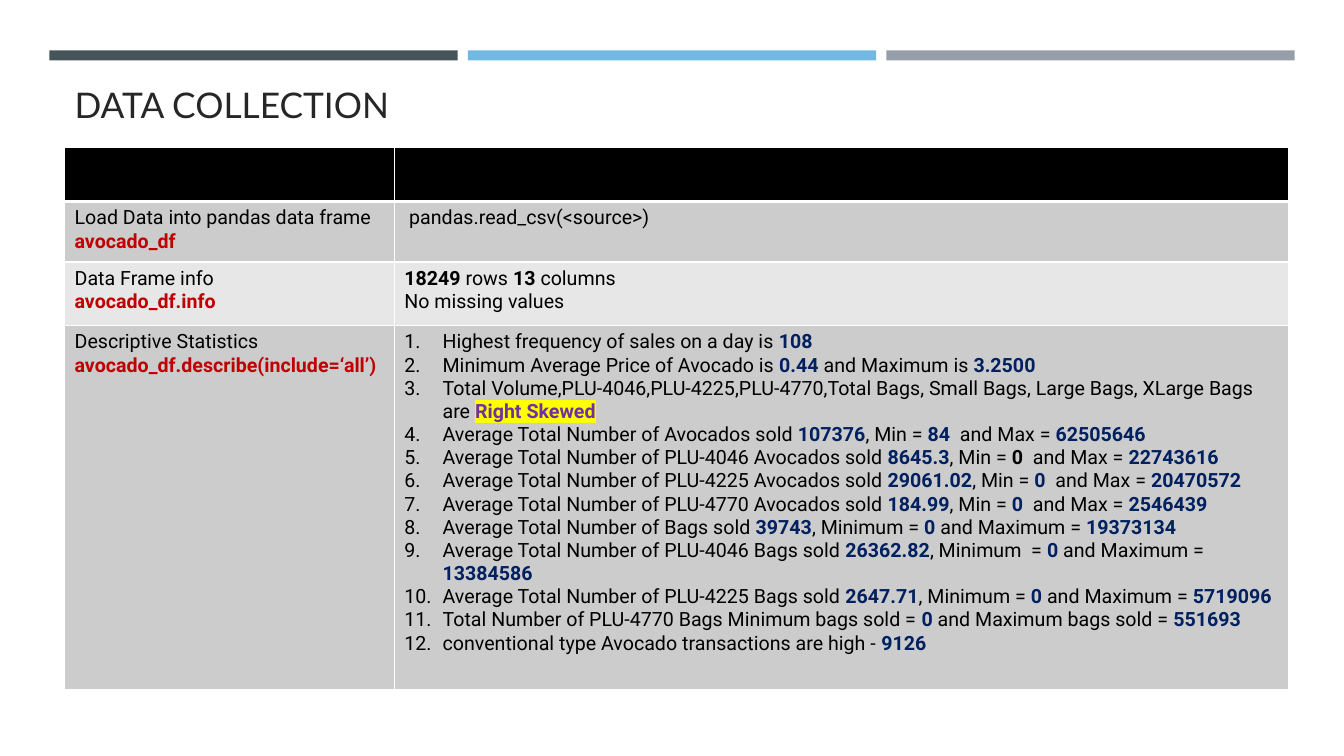
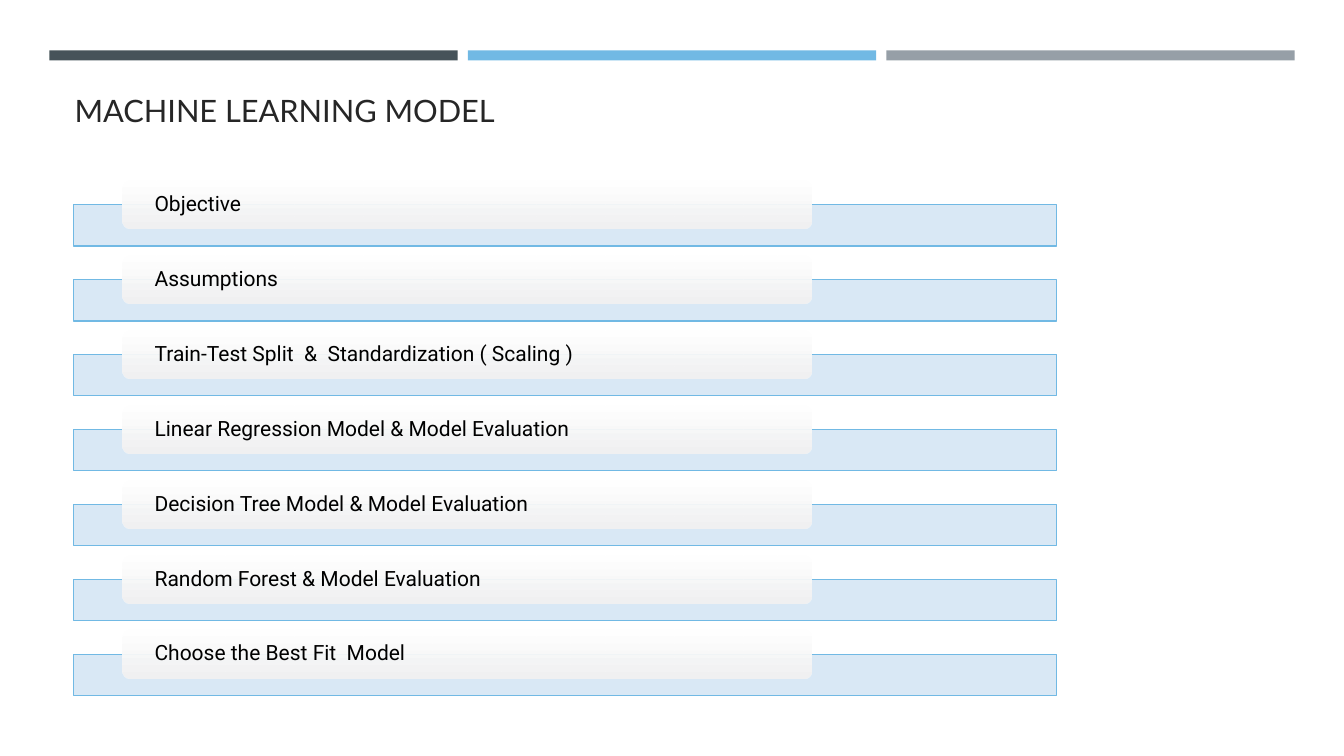
from pptx import Presentation
from pptx.dml.color import RGBColor
from pptx.enum import shapes, text
from pptx.oxml import parse_xml
from pptx.oxml.ns import nsdecls, qn
from pptx.util import Inches, Pt

BLACK = RGBColor(0x00, 0x00, 0x00)
WHITE = RGBColor(0xFF, 0xFF, 0xFF)
INK = RGBColor(0x26, 0x26, 0x26)
SLATE = RGBColor(0x46, 0x53, 0x59)
SKY = RGBColor(0x71, 0xB9, 0xE4)
STEEL = RGBColor(0x96, 0x9F, 0xA7)
PALE = RGBColor(0xD5, 0xE6, 0xF5)
MIST = RGBColor(0xF2, 0xF2, 0xF2)
GREY = RGBColor(0xCC, 0xCC, 0xCC)
LIGHT = RGBColor(0xE7, 0xE7, 0xE7)
RED = RGBColor(0xC0, 0x00, 0x00)
NAVY = RGBColor(0x00, 0x20, 0x60)
PURPLE = RGBColor(0x70, 0x30, 0xA0)
YELLOW = RGBColor(0xFF, 0xFF, 0x00)

# Bold spans stand between bars; their first letter picks the colour
BOLD = {"r": RED, "n": NAVY, "k": BLACK, "p": PURPLE}

FACTS = [
    "Highest frequency of sales on a day is |n108|",
    "Minimum Average Price of Avocado is |n0.44| and Maximum is |n3.2500|",
    "Total Volume,PLU-4046,PLU-4225,PLU-4770,Total Bags, Small Bags, "
    "Large Bags, XLarge Bags are |pRight Skewed|",
    "Average Total Number of Avocados sold |n107376|, Min = |n84|  and Max = |n62505646|",
    "Average Total Number of PLU-4046 Avocados sold |n8645.3|, Min = |k0|  and Max = |n22743616|",
    "Average Total Number of PLU-4225 Avocados sold |n29061.02|, Min = |n0|  and Max = |n20470572|",
    "Average Total Number of PLU-4770 Avocados sold |n184.99|, Min = |n0|  and Max = |n2546439|",
    "Average Total Number of Bags sold |n39743|, Minimum = |n0| and Maximum = |n19373134|",
    "Average Total Number of PLU-4046 Bags sold |n26362.82|, Minimum  = |n0| and Maximum = |n13384586|",
    "Average Total Number of PLU-4225 Bags sold |n2647.71|, Minimum = |n0| and Maximum = |n5719096|",
    "Total Number of PLU-4770 Bags Minimum bags sold = |n0| and Maximum bags sold = |n551693|",
    "conventional type Avocado transactions are high - |n9126|",
]
ROWS = [
    ([], []),
    (["Load Data into pandas data frame", "|ravocado_df|"],
     [" pandas.read_csv(<source>)"]),
    (["Data Frame info", "|ravocado_df.info|"],
     ["|k18249| rows |k13 |columns", "No missing values"]),
    (["Descriptive Statistics", "|ravocado_df.describe(include=‘all’)|"], FACTS),
]
STEPS = [
    "Objective",
    "Assumptions",
    "Train-Test Split  &  Standardization ( Scaling )",
    "Linear Regression Model & Model Evaluation",
    "Decision Tree Model & Model Evaluation",
    "Random Forest & Model Evaluation",
    "Choose the Best Fit  Model",
]


class Deck:
    HEAD, BODY = "Lato", "Roboto"

    def __init__(self):
        self.prs = Presentation()
        self.prs.slide_width = Inches(13.33)
        self.prs.slide_height = Inches(7.5)
        self.slide = None

    def page(self, title, top, size):
        """Start a slide with its three top bands and its title."""
        self.slide = self.prs.slides.add_slide(self.prs.slide_layouts[5])
        for i, tone in enumerate((SLATE, SKY, STEEL)):
            self.box("RECTANGLE", 0.49 + 4.15 * i, 0.5, 4.05, 0.1, tone)
        head = self.slide.shapes.title
        head.left, head.top = Inches(0.64), Inches(top)
        head.width, head.height = Inches(12.06), Inches(0.56)
        frame = head.text_frame
        frame.text = title
        frame.auto_size = text.MSO_AUTO_SIZE.NONE
        frame.vertical_anchor = text.MSO_ANCHOR.BOTTOM
        para = frame.paragraphs[0]
        para.alignment = text.PP_ALIGN.LEFT
        self.font(para.runs[0], size, INK, self.HEAD)

    def font(self, run, size, tone=BLACK, name=BODY, bold=False):
        run.font.size, run.font.name, run.font.bold = Pt(size), name, bold
        run.font.color.rgb = tone

    def box(self, kind, x, y, w, h, fill, line=None):
        shape = self.slide.shapes.add_shape(
            getattr(shapes.MSO_SHAPE, kind), Inches(x), Inches(y), Inches(w), Inches(h))
        shape.shadow.inherit = False
        shape.fill.solid()
        shape.fill.fore_color.rgb = fill
        if line is None:
            shape.line.fill.background()
        else:
            shape.line.color.rgb = line
            shape.line.width = Pt(1)
        return shape

    def fade(self, shape):
        """Make the first fill colour 90 % opaque."""
        tone = next(shape.element.iter(qn("a:srgbClr")))
        tone.append(parse_xml(f'<a:alpha {nsdecls("a")} val="90000"/>'))

    def step(self, y, label):
        """A pale bar with a labelled plate over its upper edge."""
        self.fade(self.box("RECTANGLE", 0.73, y, 9.75, 0.41, PALE, SKY))
        plate = self.box("ROUNDED_RECTANGLE", 1.22, y - 0.24, 6.83, 0.48, WHITE)
        plate.fill.gradient()
        plate.fill.gradient_angle = 270
        for stop, tone in zip(plate.fill.gradient_stops, (WHITE, MIST)):
            stop.color.rgb = tone
        self.fade(plate)
        frame = plate.text_frame
        frame.word_wrap = True
        frame.vertical_anchor = text.MSO_ANCHOR.MIDDLE
        frame.margin_left = frame.margin_right = Inches(0.29)
        frame.margin_top = frame.margin_bottom = 0
        frame.text = label
        para = frame.paragraphs[0]
        para.alignment = text.PP_ALIGN.LEFT
        para.line_spacing = 0.9
        self.font(para.runs[0], 15)

    def rich(self, para, line):
        """Fill a paragraph, with the spans between bars in bold."""
        for i, part in enumerate(line.split("|")):
            if not part:
                continue
            run = para.add_run()
            if i % 2 == 0:
                run.text = part
                self.font(run, 14)
                continue
            run.text = part[1:]
            self.font(run, 14, BOLD[part[0]], bold=True)
            if part[0] == "p":
                fill = run.font.color and run.font._element.find(qn("a:solidFill"))
                fill.addnext(parse_xml(
                    f'<a:highlight {nsdecls("a")}><a:srgbClr val="{YELLOW}"/></a:highlight>'))

    def number(self, para):
        props = para._p.get_or_add_pPr()
        props.set("marL", str(Inches(0.38)))
        props.set("indent", str(-Inches(0.38)))
        props.append(parse_xml(f'<a:buAutoNum {nsdecls("a")} type="arabicPeriod"/>'))

    def edge(self, cell, top, base):
        """White cell borders; they come before the fill."""
        props = cell._tc.get_or_add_tcPr()
        for i, (side, width) in enumerate((("L", 1), ("R", 1), ("T", top), ("B", base))):
            props.insert(i, parse_xml(
                f'<a:ln{side} {nsdecls("a")} w="{Pt(width)}"><a:solidFill>'
                f'<a:srgbClr val="{WHITE}"/></a:solidFill></a:ln{side}>'))

    def table(self, rows, widths, heights, fills):
        grid = self.slide.shapes.add_table(
            len(rows), len(widths), Inches(0.64), Inches(1.46),
            Inches(sum(widths)), Inches(sum(heights))).table
        grid.first_row = grid.horz_banding = False
        for col, width in zip(grid.columns, widths):
            col.width = Inches(width)
        for r, (row, height, fill) in enumerate(zip(rows, heights, fills)):
            grid.rows[r].height = Inches(height)
            for c, lines in enumerate(row):
                cell = grid.cell(r, c)
                cell.fill.solid()
                cell.fill.fore_color.rgb = fill
                self.edge(cell, 3 if r == 1 else 1, 3 if r == 0 else 1)
                frame = cell.text_frame
                for i, line in enumerate(lines):
                    para = frame.add_paragraph() if i else frame.paragraphs[0]
                    self.rich(para, line)
                    if lines is FACTS:
                        self.number(para)


def main():
    deck = Deck()

    # Data collection
    deck.page("DATA COLLECTION", 0.74, 25.2)
    deck.table(ROWS, (3.27, 8.87), (0.54, 0.6, 0.63, 3.61), (BLACK, GREY, LIGHT, GREY))

    # Model steps, evenly spaced from first to last
    deck.page("MACHINE LEARNING MODEL", 0.77, 22)
    first, last = 2.03, 6.49
    gap = (last - first) / (len(STEPS) - 1)
    for i, label in enumerate(STEPS):
        deck.step(first + gap * i, label)

    deck.prs.save("out.pptx")


if __name__ == "__main__":
    main()
